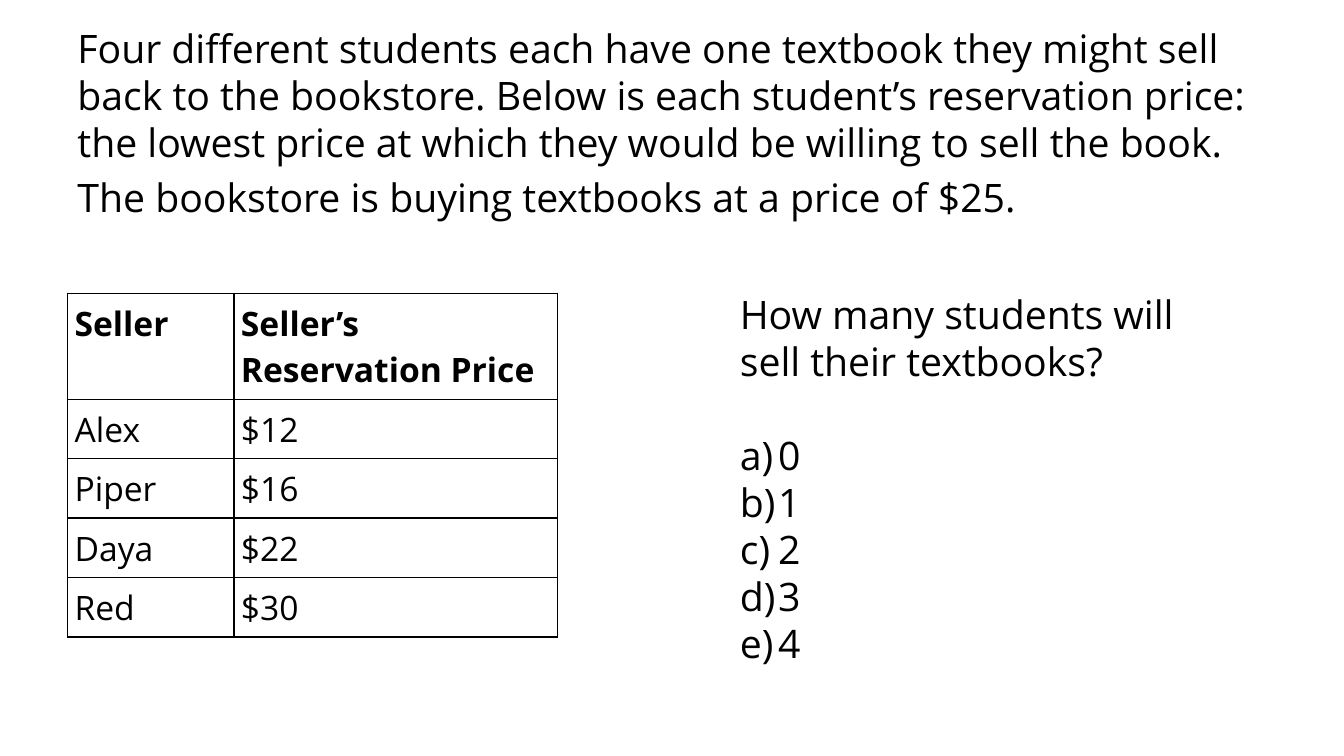
from dataclasses import dataclass

from lxml.etree import SubElement
from pptx import Presentation
from pptx.dml.color import RGBColor
from pptx.enum.text import MSO_ANCHOR
from pptx.oxml.ns import qn
from pptx.util import Inches, Pt

FONT = "Open Sans"
BLACK = "000000"
WHITE = "FFFFFF"


@dataclass
class Para:
    text: str
    before: float = 0
    lettered: bool = False


@dataclass
class TextBox:
    left: float
    top: float
    width: float
    height: float
    paras: list[Para]


def color(value: str) -> RGBColor:
    return RGBColor.from_string(value)


def set_font(p, size: float, bold: bool = False) -> None:
    p.font.name = FONT
    p.font.size = Pt(size)
    p.font.bold = bold
    p.font.color.rgb = color(BLACK)


def add_letter(p) -> None:
    props = p._p.get_or_add_pPr()
    props.set("marL", str(Inches(0.38)))
    props.set("indent", str(Inches(-0.38)))
    SubElement(props, qn("a:buFont"), typeface=FONT)
    SubElement(props, qn("a:buAutoNum"), type="alphaLcParenR")


def add_text(slide, box: TextBox) -> None:
    sp = slide.shapes.add_textbox(
        Inches(box.left), Inches(box.top), Inches(box.width), Inches(box.height)
    )
    tf = sp.text_frame
    tf.word_wrap = True
    for i, para in enumerate(box.paras):
        p = tf.paragraphs[0] if i == 0 else tf.add_paragraph()
        p.text = para.text
        p.space_before = Pt(para.before)
        if para.lettered:
            add_letter(p)
        set_font(p, 28)


def add_borders(cell) -> None:
    props = cell._tc.get_or_add_tcPr()
    for i, side in enumerate(("a:lnL", "a:lnR", "a:lnT", "a:lnB")):
        ln = props.makeelement(qn(side), {"w": str(Pt(1))})
        fill = SubElement(ln, qn("a:solidFill"))
        SubElement(fill, qn("a:srgbClr"), val=BLACK)
        props.insert(i, ln)


def add_price_table(slide, rows: list[tuple[str, str]]) -> None:
    widths = (1.65, 3.21)
    heights = [1.05] + [0.59] * (len(rows) - 1)
    table = slide.shapes.add_table(
        len(rows), len(widths), Inches(0.67), Inches(2.91),
        Inches(sum(widths)), Inches(sum(heights)),
    ).table
    for column, width in zip(table.columns, widths):
        column.width = Inches(width)
    for r, (row, height) in enumerate(zip(rows, heights)):
        table.rows[r].height = Inches(height)
        for c, text in enumerate(row):
            cell = table.cell(r, c)
            cell.text = text
            cell.vertical_anchor = MSO_ANCHOR.TOP
            cell.margin_left = cell.margin_right = Inches(0.07)
            cell.margin_top = cell.margin_bottom = Inches(0.07)
            cell.fill.solid()
            cell.fill.fore_color.rgb = color(WHITE)
            add_borders(cell)
            set_font(cell.text_frame.paragraphs[0], 24, bold=r == 0)


INTRO = TextBox(0.67, 0.19, 12, 6.51, [
    Para(
        "Four different students each have one textbook they might sell "
        "back to the bookstore. Below is each student’s reservation price: "
        "the lowest price at which they would be willing to sell the book."
    ),
    Para("The bookstore is buying textbooks at a price of $25.", before=5.6),
])

QUESTION = TextBox(7.24, 2.83, 4.67, 3.87, [
    Para("How many students will sell their textbooks?"),
    *(Para(str(n), before=0 if n else 33.6, lettered=True) for n in range(5)),
])

PRICES = [
    ("Seller", "Seller’s Reservation Price"),
    ("Alex", "$12"),
    ("Piper", "$16"),
    ("Daya", "$22"),
    ("Red", "$30"),
]


def main() -> None:
    prs = Presentation()
    prs.slide_width = Inches(13.33)
    prs.slide_height = Inches(7.5)
    slide = prs.slides.add_slide(prs.slide_layouts[6])
    add_text(slide, INTRO)
    add_price_table(slide, PRICES)
    add_text(slide, QUESTION)
    prs.save("out.pptx")


if __name__ == "__main__":
    main()
